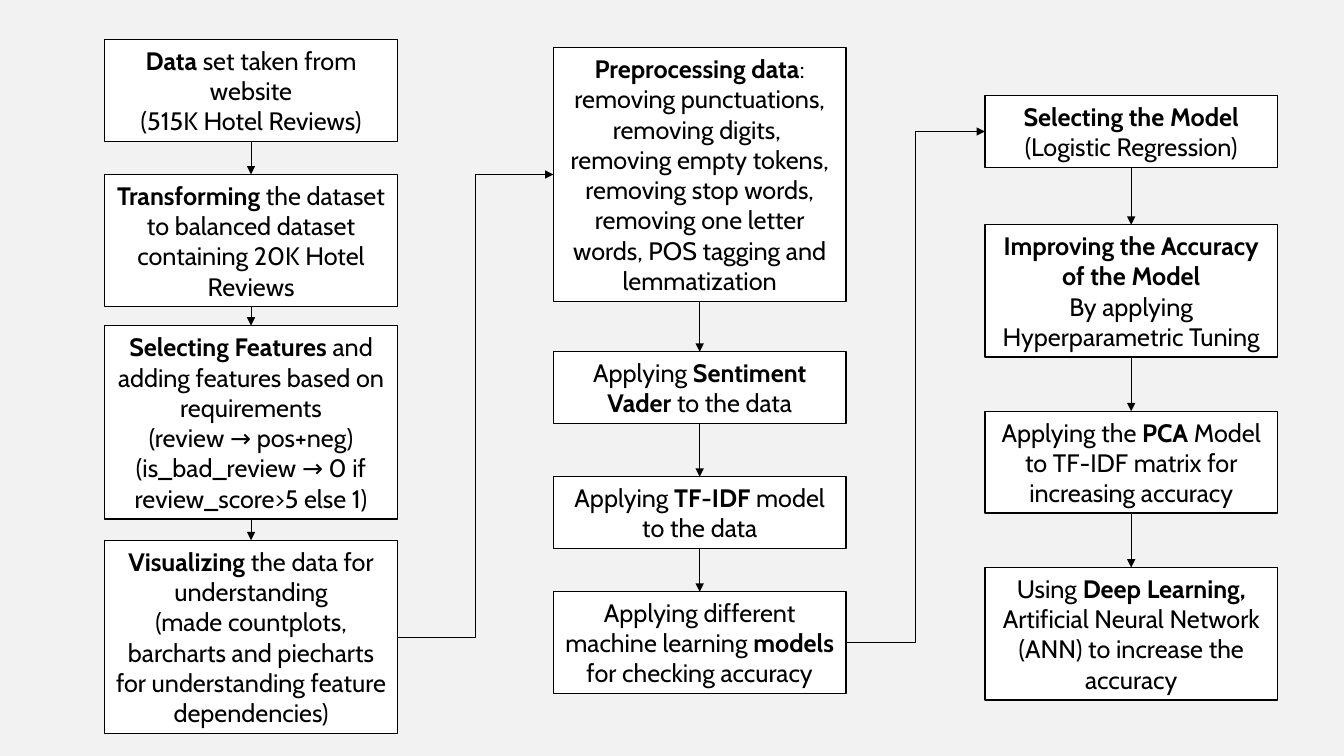
from lxml.etree import SubElement
from pptx import Presentation
from pptx.dml.color import RGBColor
from pptx.enum.shapes import MSO_CONNECTOR as Connector, MSO_SHAPE as Shape
from pptx.enum.text import MSO_ANCHOR as Anchor, MSO_AUTO_SIZE as AutoSize, PP_ALIGN as Align
from pptx.oxml.ns import qn
from pptx.util import Inches, Pt

BACKGROUND = RGBColor(0xF2, 0xF2, 0xF2)
WHITE = RGBColor(0xFF, 0xFF, 0xFF)
BLACK = RGBColor(0x00, 0x00, 0x00)

SLIDE_WIDTH, SLIDE_HEIGHT = Inches(13.33), Inches(7.5)
TOP, LEFT, BOTTOM, RIGHT = range(4)

# Percentages of the slide's width or height
BOX_WIDTH = 21.76
LINE_HEIGHT = 4.03
BOX_PADDING = 1.4

TEXT_FORMAT = {"name": "Cabin", "size": Pt(18)}
FRAME_FORMAT = {"word_wrap": True, "auto_size": AutoSize.SHAPE_TO_FIT_TEXT,
                "vertical_anchor": Anchor.MIDDLE}

# Column left, then steps as (top, text lines, text); *stars* enclose bold words
COLUMNS = [
    (7.8, [
        (5.2, 3, "*Data* set taken from website\n(515K Hotel Reviews)"),
        (23.07, 4, "*Transforming* the dataset to balanced dataset containing 20K Hotel Reviews"),
        (43.07, 6, "*Selecting Features *and adding features based on requirements\n"
                   "(review → pos+neg)\n(is_bad_review → 0 if review_score>5 else 1)"),
        (71.47, 6, "*Visualizing* the data for understanding\n(made countplots, barcharts "
                   "and piecharts for understanding feature dependencies)"),
    ]),
    (41.18, [
        (6.27, 8, "*Preprocessing data*:\nremoving punctuations, removing digits, \n"
                  "removing empty tokens, removing stop words, removing one letter words, "
                  "POS tagging and lemmatization"),
        (46.53, 2, "Applying *Sentiment Vader *to the data"),
        (63.07, 2, "Applying *TF-IDF* model to the data"),
        (78.27, 3, "Applying different machine learning *models* for checking accuracy"),
    ]),
    (73.29, [
        (12.67, 2, "*Selecting the Model*\n(Logistic Regression)"),
        (29.73, 4, "*Improving the Accuracy of the Model*\nBy applying Hyperparametric Tuning"),
        (54.4, 3, "Applying the *PCA* Model to TF-IDF matrix for increasing accuracy"),
        (75.07, 4, "Using *Deep Learning, *Artificial Neural Network (ANN) "
                   "to increase the accuracy"),
    ]),
]


def across(percent):
    return round(SLIDE_WIDTH * percent / 100)


def down(percent):
    return round(SLIDE_HEIGHT * percent / 100)


def apply_format(target, values):
    for name, value in values.items():
        setattr(target, name, value)


def write_paragraph(paragraph, text):
    paragraph.alignment = Align.CENTER
    for index, words in enumerate(text.split("*")):
        if words:
            run = paragraph.add_run()
            run.text = words
            apply_format(run.font, {**TEXT_FORMAT, "bold": index % 2 == 1})
            run.font.color.rgb = BLACK


def add_step(slide, left, top, lines, text):
    height = BOX_PADDING + LINE_HEIGHT * lines
    box = slide.shapes.add_shape(Shape.RECTANGLE, across(left), down(top),
                                 across(BOX_WIDTH), down(height))
    box.shadow.inherit = False
    box.fill.solid()
    box.fill.fore_color.rgb = WHITE
    box.line.color.rgb = BLACK
    box.line.width = Pt(1)
    frame = box.text_frame
    apply_format(frame, FRAME_FORMAT)
    for index, line in enumerate(text.split("\n")):
        write_paragraph(frame.add_paragraph() if index else frame.paragraphs[0], line)
    return box


def add_arrow(slide, kind, start, start_side, end, end_side):
    arrow = slide.shapes.add_connector(kind, 0, 0, 0, 0)
    arrow.begin_connect(start, start_side)
    arrow.end_connect(end, end_side)
    arrow.line.color.rgb = BLACK
    arrow.line.width = Pt(0.5)
    # Arrowhead and no shadow
    properties = arrow.line._get_or_add_ln()
    SubElement(properties, qn("a:tailEnd"), type="triangle")
    SubElement(properties.getparent(), qn("a:effectLst"))


def main():
    presentation = Presentation()
    presentation.slide_width, presentation.slide_height = SLIDE_WIDTH, SLIDE_HEIGHT
    slide = presentation.slides.add_slide(presentation.slide_layouts[6])
    slide.background.fill.solid()
    slide.background.fill.fore_color.rgb = BACKGROUND

    # Process steps
    columns = [[add_step(slide, left, *step) for step in steps] for left, steps in COLUMNS]

    # Arrows down each column
    for boxes in columns:
        for upper, lower in zip(boxes, boxes[1:]):
            add_arrow(slide, Connector.STRAIGHT, upper, BOTTOM, lower, TOP)

    # Bent arrows from the foot of a column to the head of the next
    for boxes, next_boxes in zip(columns, columns[1:]):
        add_arrow(slide, Connector.ELBOW, boxes[-1], RIGHT, next_boxes[0], LEFT)

    presentation.save("out.pptx")


if __name__ == "__main__":
    main()
